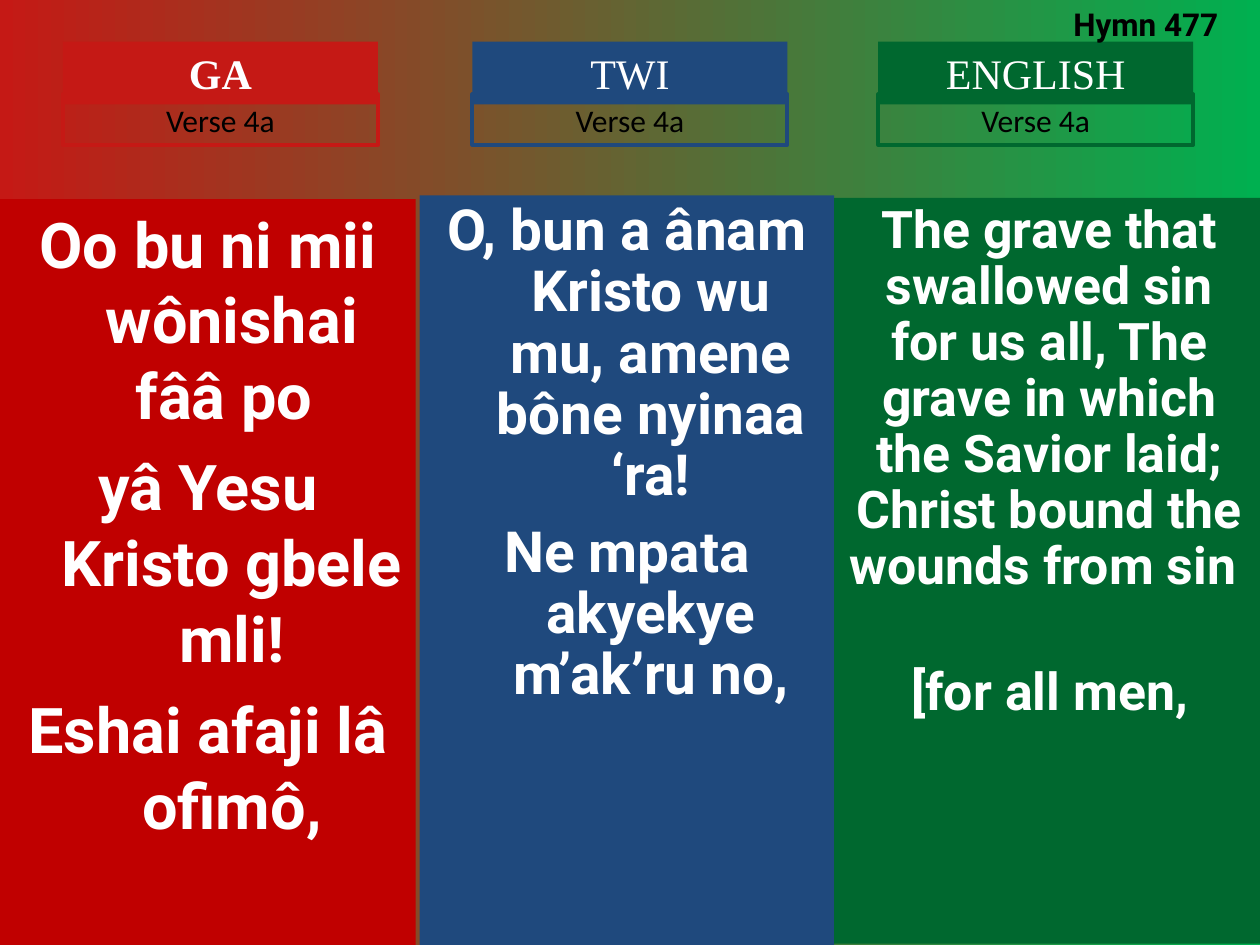
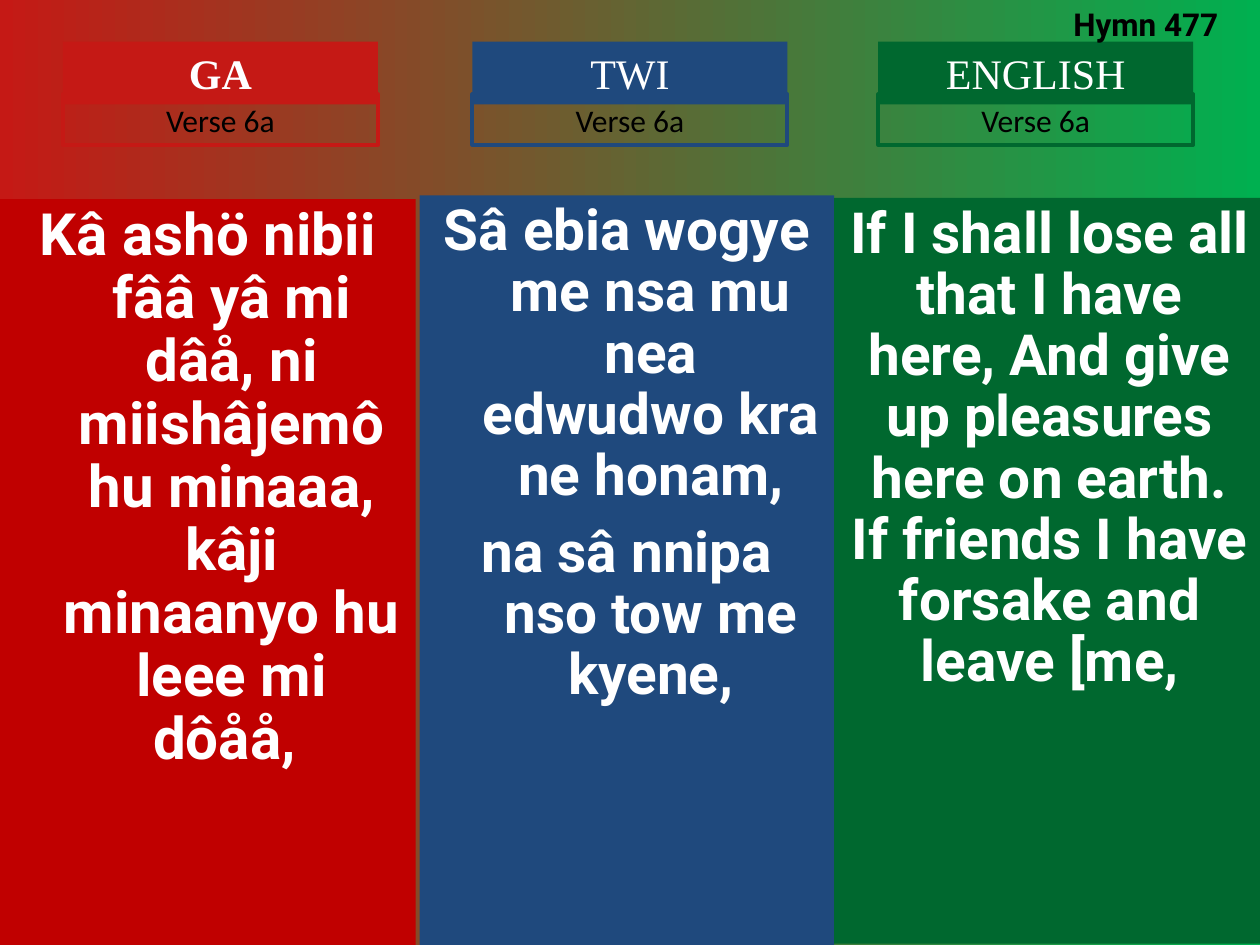
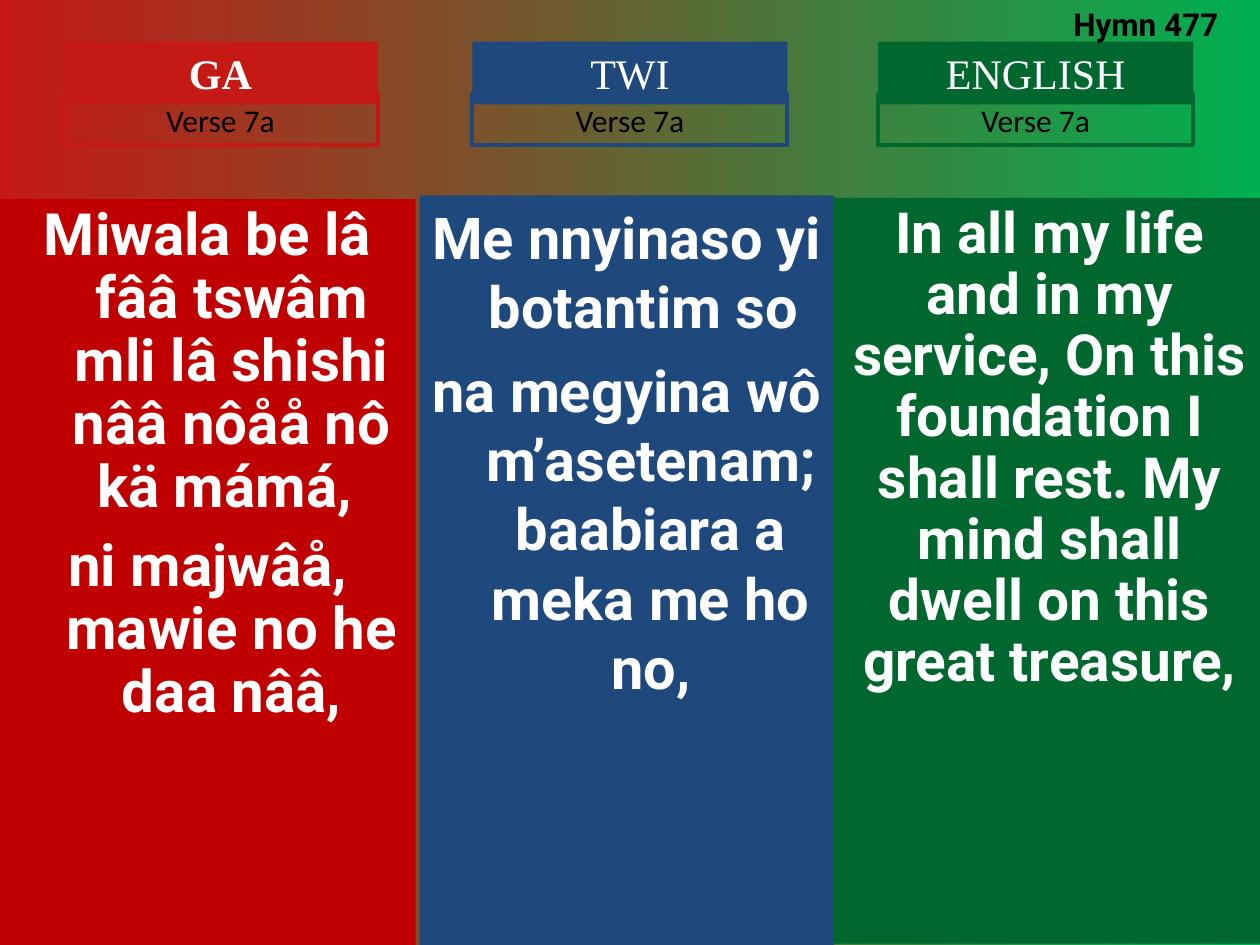
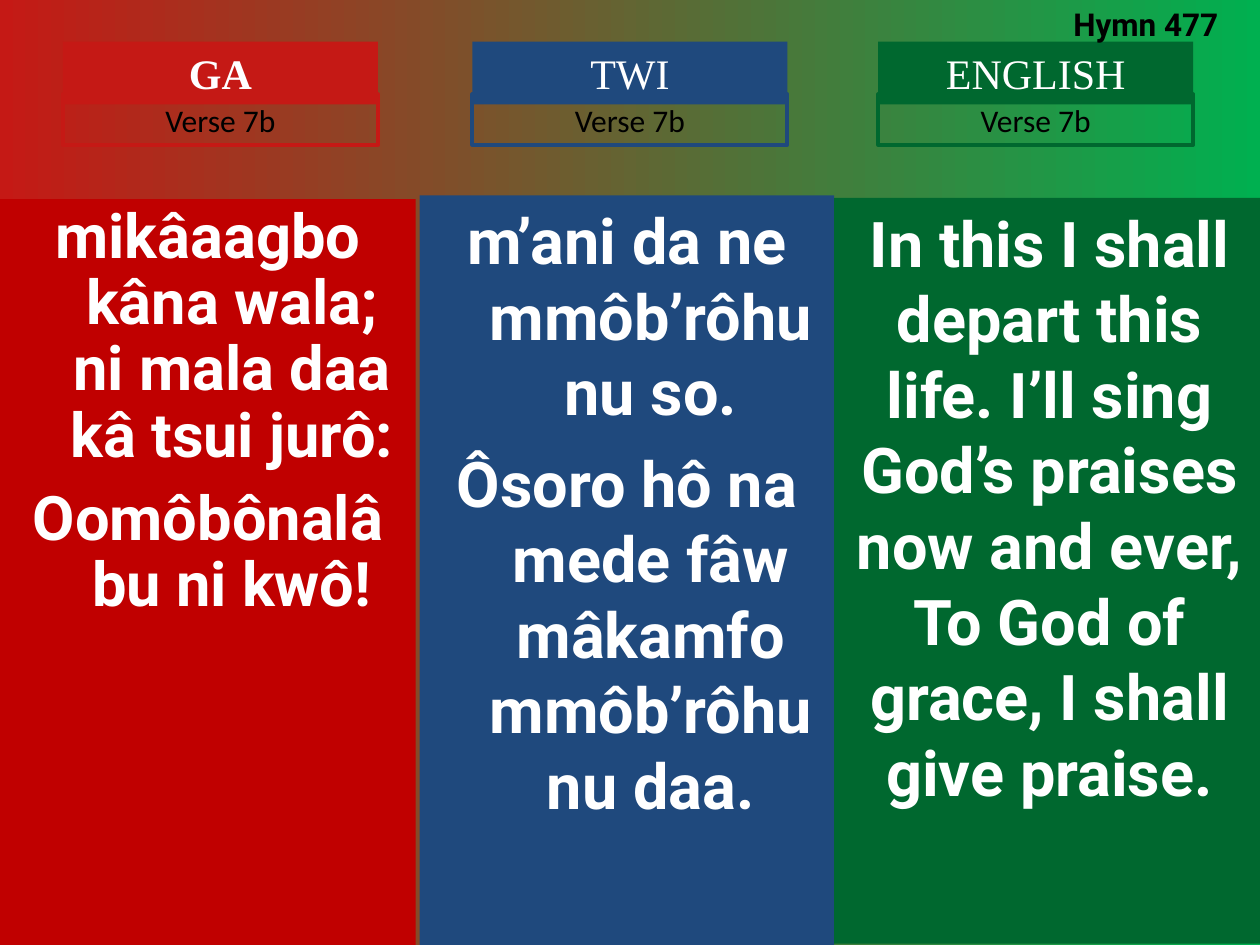
from dataclasses import dataclass

from pptx import Presentation
from pptx.dml.color import RGBColor
from pptx.enum.shapes import MSO_SHAPE
from pptx.enum.text import MSO_ANCHOR, MSO_AUTO_SIZE, PP_ALIGN
from pptx.util import Inches, Pt

RECTANGLE = MSO_SHAPE.RECTANGLE
TOP = MSO_ANCHOR.TOP
FIT_SHAPE = MSO_AUTO_SIZE.SHAPE_TO_FIT_TEXT
FIXED = MSO_AUTO_SIZE.NONE
CENTER = PP_ALIGN.CENTER
LEFT = PP_ALIGN.LEFT
BLANK_LAYOUT = 6


@dataclass(frozen=True)
class Theme:
    red: str = "C51915"
    deep_red: str = "C00000"
    blue: str = "1F497D"
    green: str = "00682F"
    bright_green: str = "00B050"
    white: str = "FFFFFF"
    black: str = "000000"
    lyric_font: str = "Roboto"
    language_font: str = "Times New Roman"
    verse_font: str = "Calibri"
    language_size: float = 24
    verse_size: float = 18
    hymn_size: float = 18
    border_width: float = 2.25
    hanging_indent: float = 0.38


@dataclass(frozen=True)
class Column:
    language: str
    header_color: str
    panel_color: str
    header_left: float
    panel_box: tuple
    bold_header: bool = False
    hanging: bool = False


@dataclass(frozen=True)
class Lyrics:
    paragraphs: tuple
    size: float
    space_before: float = 0
    line_spacing: float = 0.9


THEME = Theme()
HYMN = "Hymn 477"
HYMN_BOX = (8.42, -0.01, 1.5, 0.4)
HEADER_TOP, HEADER_WIDTH = 0.33, 2.5
HEADER_HEIGHT, VERSE_OFFSET, VERSE_HEIGHT = 0.5, 0.42, 0.4

COLUMNS = (
    Column("GA", THEME.red, THEME.deep_red, 0.5, (0, 1.58, 3.3, 5.92),
           bold_header=True, hanging=True),
    Column("TWI", THEME.blue, THEME.blue, 3.75, (3.33, 1.55, 3.29, 5.95),
           hanging=True),
    Column("ENGLISH", THEME.green, THEME.green, 6.97, (6.62, 1.57, 3.42, 5.92)),
)

VERSES = (
    ("Verse 4a", (
        Lyrics(("Oo bu ni mii wônishai fââ po ",
                "yâ Yesu Kristo gbele mli!",
                "Eshai afaji lâ ofimô,"), 36, 9, 1),
        Lyrics(("O, bun a ânam Kristo wu mu, amene bône nyinaa ‘ra!",
                "Ne mpata akyekye m’ak’ru no,"), 32.4, 8.8),
        Lyrics(("The grave that swallowed sin for us all, The grave in which "
                "the Savior laid; Christ bound the wounds from sin ",
                "[for all men,"), 29.6, 40),
    )),
    ("Verse 6a", (
        Lyrics(("Kâ ashö nibii fââ yâ mi dâå, ni miishâjemô hu minaaa, "
                "kâji minaanyo hu leee mi dôåå, ",), 33.3),
        Lyrics(("Sâ ebia wogye me nsa mu nea edwudwo kra ne honam,",
                "na sâ nnipa nso tow me kyene,"), 32.4, 8.8),
        Lyrics(("If I shall lose all that I have here, And give up pleasures "
                "here on earth. If friends I have forsake and leave [me,",), 32.4),
    )),
    ("Verse 7a", (
        Lyrics(("Miwala be lâ fââ tswâm mli lâ shishi nââ nôåå nô kä mámá, ",
                "ni majwâå, mawie no he daa nââ,"), 33.3, 9),
        Lyrics(("Me nnyinaso yi botantim so ",
                "na megyina wô m’asetenam; baabiara a meka me ho no,"),
               33, 8.2, 1),
        Lyrics(("In all my life and in my service, On this foundation I shall "
                "rest. My mind shall dwell on this great treasure,",), 32.4),
    )),
    ("Verse 7b", (
        Lyrics(("mikâaagbo kâna wala; ni mala daa kâ tsui jurô:",
                "Oomôbônalâ bu ni kwô!"), 35.1, 9.5),
        Lyrics(("m’ani da ne mmôb’rôhunu so.",
                "Ôsoro hô na mede fâw mâkamfo mmôb’rôhunu daa."), 36, 9, 1),
        Lyrics(("In this I shall depart this life. I’ll sing God’s praises now "
                "and ever, To God of grace, I shall give praise.",),
               36, line_spacing=1),
    )),
)


def set_attributes(target, values):
    for name, value in values.items():
        setattr(target, name, value)


def write_paragraph(paragraph, text, font, size, color, bold=False, **layout):
    paragraph.text = text
    set_attributes(paragraph, layout)
    set_attributes(paragraph.font, {"name": font, "size": Pt(size), "bold": bold})
    paragraph.font.color.rgb = RGBColor.from_string(color)


def prepare_frame(shape, auto_size):
    set_attributes(shape.text_frame, {
        "word_wrap": True,
        "auto_size": auto_size,
        "vertical_anchor": TOP,
        "margin_left": Inches(0.1),
        "margin_right": Inches(0.1),
        "margin_top": Inches(0.05),
        "margin_bottom": Inches(0.05),
    })
    return shape.text_frame


def add_rectangle(slide, box, fill=None, border=None):
    shape = slide.shapes.add_shape(RECTANGLE, *map(Inches, box))
    shape.shadow.inherit = False
    if fill:
        shape.fill.solid()
        shape.fill.fore_color.rgb = RGBColor.from_string(fill)
    else:
        shape.fill.background()
    if border:
        shape.line.color.rgb = RGBColor.from_string(border)
        shape.line.width = Pt(THEME.border_width)
    else:
        shape.line.fill.background()
    return shape


def paint_background(slide):
    fill = slide.background.fill
    fill.gradient()
    fill.gradient_angle = 0
    for stop, color in zip(fill.gradient_stops, (THEME.red, THEME.bright_green)):
        stop.color.rgb = RGBColor.from_string(color)


def add_lyric_panel(slide, box, column, lyrics):
    panel = add_rectangle(slide, box, fill=column.panel_color)
    frame = prepare_frame(panel, FIXED)
    for index, text in enumerate(lyrics.paragraphs):
        paragraph = frame.add_paragraph() if index else frame.paragraphs[0]
        write_paragraph(paragraph, text, THEME.lyric_font, lyrics.size,
                        THEME.white, bold=True, alignment=CENTER,
                        line_spacing=lyrics.line_spacing,
                        space_before=Pt(lyrics.space_before if index else 0))
        if column.hanging:
            indent = Inches(THEME.hanging_indent)
            properties = paragraph._p.get_or_add_pPr()
            properties.set("marL", str(indent))
            properties.set("indent", str(-indent))


def add_language_header(slide, box, column, verse):
    left, top, width, height = box
    title = add_rectangle(slide, box, fill=column.header_color)
    write_paragraph(prepare_frame(title, FIT_SHAPE).paragraphs[0],
                    column.language, THEME.language_font, THEME.language_size,
                    THEME.white, column.bold_header, alignment=CENTER)
    label = add_rectangle(slide, (left, top + VERSE_OFFSET, width, VERSE_HEIGHT),
                          border=column.header_color)
    write_paragraph(prepare_frame(label, FIT_SHAPE).paragraphs[0], verse,
                    THEME.verse_font, THEME.verse_size, THEME.black,
                    alignment=CENTER)


def add_hymn_number(slide, box):
    text_box = slide.shapes.add_textbox(*map(Inches, box))
    write_paragraph(prepare_frame(text_box, FIT_SHAPE).paragraphs[0], HYMN,
                    THEME.lyric_font, THEME.hymn_size, THEME.black, bold=True,
                    alignment=LEFT)


def add_verse_slide(presentation, verse, translations):
    slide = presentation.slides.add_slide(presentation.slide_layouts[BLANK_LAYOUT])
    paint_background(slide)
    for column, lyrics in zip(COLUMNS, translations):
        add_lyric_panel(slide, column.panel_box, column, lyrics)
        header_box = (column.header_left, HEADER_TOP, HEADER_WIDTH, HEADER_HEIGHT)
        add_language_header(slide, header_box, column, verse)
    add_hymn_number(slide, HYMN_BOX)


def main():
    presentation = Presentation()
    presentation.slide_width = Inches(10)
    presentation.slide_height = Inches(7.5)
    for verse, translations in VERSES:
        add_verse_slide(presentation, verse, translations)
    presentation.save("out.pptx")


if __name__ == "__main__":
    main()
